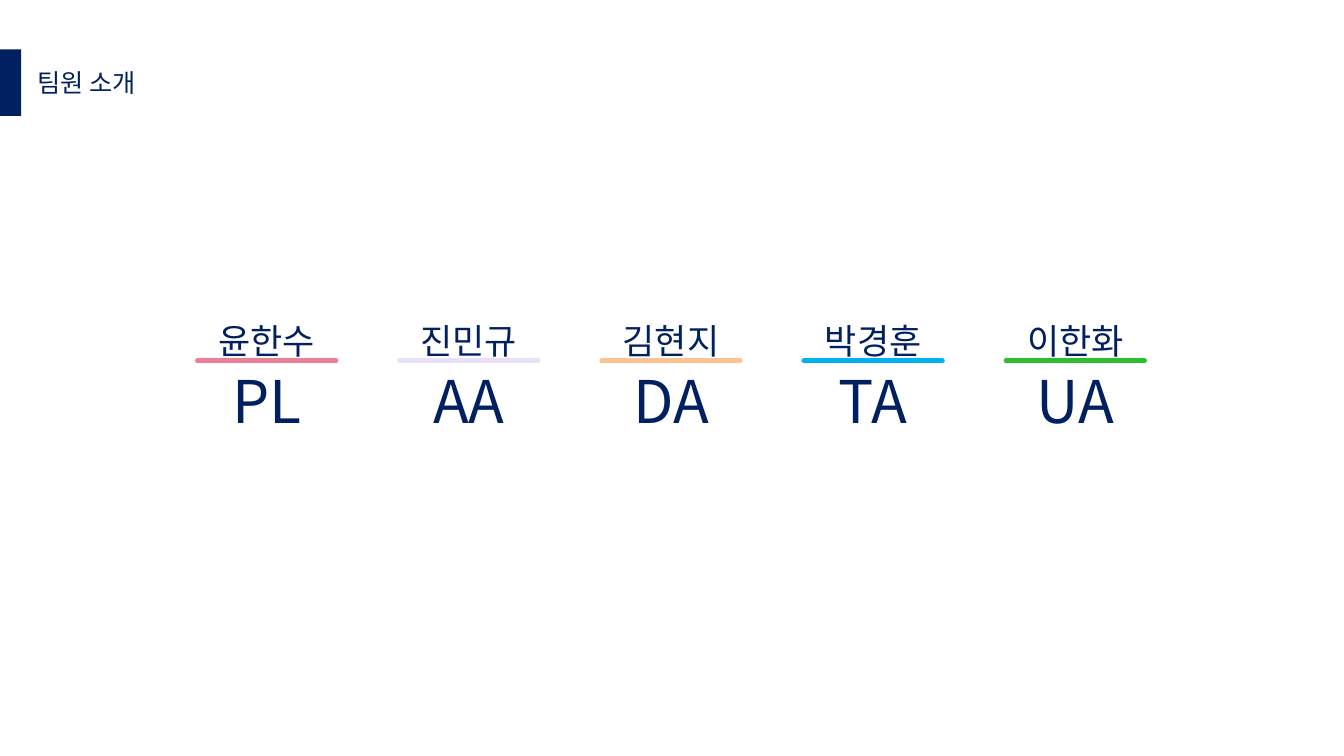
from lxml.etree import SubElement
from pptx import Presentation
from pptx.dml.color import RGBColor
from pptx.enum.shapes import MSO_CONNECTOR, MSO_SHAPE
from pptx.enum.text import MSO_ANCHOR, MSO_AUTO_SIZE, PP_ALIGN
from pptx.oxml.ns import qn
from pptx.util import Inches, Pt

FONT = "Noto Sans CJK KR"
NAVY = RGBColor(0x00, 0x20, 0x60)
PINK = RGBColor(0xEC, 0x7E, 0x96)
LILAC = RGBColor(0xE8, 0xE0, 0xF7)
PEACH = RGBColor(0xFB, 0xC3, 0x92)
SKY = RGBColor(0x00, 0xB0, 0xF0)
GREEN = RGBColor(0x2C, 0xBE, 0x2F)

MEMBERS = [
    ("윤한수", "PL", 0.93, PINK),
    ("진민규", "AA", 1.06, LILAC),
    ("김현지", "DA", 1.04, PEACH),
    ("박경훈", "TA", 0.93, SKY),
    ("이한화", "UA", 1.03, GREEN),
]


def write_label(label, text, size, align):
    """Fill a shape with one unwrapped navy line of text."""
    frame = label.text_frame
    frame.text = text
    frame.word_wrap = False
    frame.auto_size = MSO_AUTO_SIZE.SHAPE_TO_FIT_TEXT
    frame.vertical_anchor = MSO_ANCHOR.TOP
    paragraph = frame.paragraphs[0]
    paragraph.alignment = align
    font = paragraph.runs[0].font
    font.name = FONT
    font.size = Pt(size)
    font.color.rgb = NAVY
    SubElement(font._element, qn("a:ea")).set("typeface", FONT)


def add_heading(slide, left, top, height):
    """Place the edge bar and the slide title beside it."""
    bar_width = 0.21
    bar = slide.shapes.add_shape(
        MSO_SHAPE.RECTANGLE, Inches(left), Inches(top), Inches(bar_width), Inches(height))
    bar.shadow.inherit = False
    bar.fill.solid()
    bar.fill.fore_color.rgb = NAVY
    bar.line.fill.background()

    title = slide.shapes.title
    title.left, title.top = Inches(left + bar_width + 0.06), Inches(top + 0.13)
    title.width, title.height = Inches(1.22), Inches(0.4)
    write_label(title, "팀원 소개", 18, PP_ALIGN.LEFT)


def add_member(slide, left, top, width, member):
    """Group a member's role, coloured rule and name around one centre."""
    name, role, role_width, color = member
    center = left + width / 2
    card = slide.shapes.add_group_shape()

    def add_label(text, size, offset, label_width, label_height):
        """Add a text box centred in the card."""
        label = card.shapes.add_textbox(
            Inches(center - label_width / 2), Inches(top + offset),
            Inches(label_width), Inches(label_height))
        write_label(label, text, size, PP_ALIGN.CENTER)

    add_label(role, 42, 0.45, role_width, 0.81)
    rule_y = Inches(top + 0.46)
    rule = card.shapes.add_connector(
        MSO_CONNECTOR.STRAIGHT, Inches(left), rule_y, Inches(left + width), rule_y)
    rule.line.color.rgb = color
    rule.line.width = Pt(3.75)
    rule.line._get_or_add_ln().set("cap", "rnd")
    SubElement(rule._element.spPr, qn("a:effectLst"))
    add_label(name, 25, 0, 1.17, 0.52)


def add_team(slide, left, top, card_width, pitch):
    """Lay out the members in an evenly spaced row."""
    for index, member in enumerate(MEMBERS):
        add_member(slide, left + index * pitch, top, card_width, member)


def main():
    """Build the team introduction slide."""
    deck = Presentation()
    deck.slide_width, deck.slide_height = Inches(13.33), Inches(7.5)
    slide = deck.slides.add_slide(deck.slide_layouts[5])
    add_team(slide, left=1.96, top=3.12, card_width=1.37, pitch=2.005)
    add_heading(slide, left=0, top=0.49, height=0.66)
    deck.save("out.pptx")


if __name__ == "__main__":
    main()
